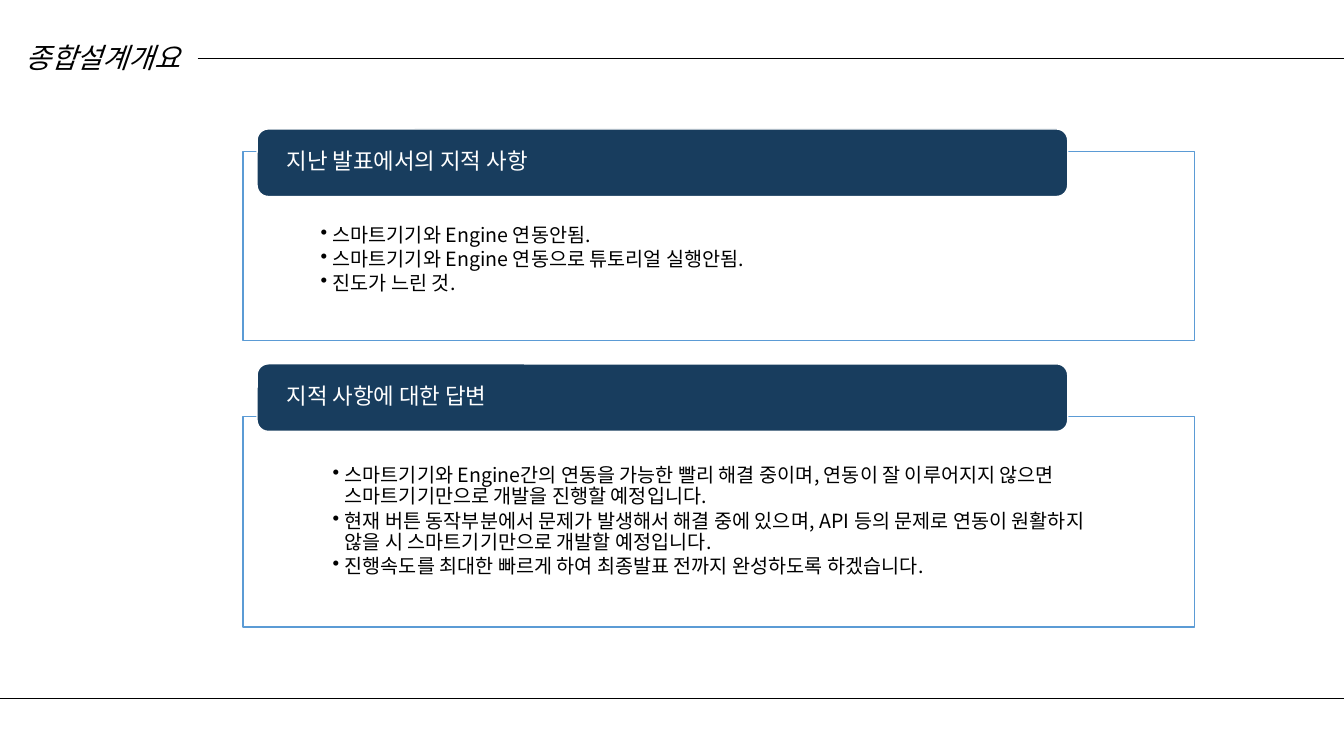
from lxml.etree import SubElement
from pptx import Presentation
from pptx.dml.color import RGBColor
from pptx.enum.shapes import MSO_CONNECTOR, MSO_SHAPE
from pptx.enum.text import MSO_ANCHOR, MSO_AUTO_SIZE, PP_ALIGN
from pptx.oxml.ns import qn
from pptx.util import Inches, Pt

# Content
TITLE = "종합설계개요"
SECTIONS = [
    {
        "heading": "지난 발표에서의 지적 사항",
        "points": [
            "스마트기기와 Engine 연동안됨.",
            "스마트기기와 Engine 연동으로 튜토리얼 실행안됨.",
            "진도가 느린 것.",
        ],
        "tab_top": 1.28, "top": 1.5, "height": 1.88,
        "bottom_inset": 0.11, "indent": 0.12,
    },
    {
        "heading": "지적 사항에 대한 답변",
        "points": [
            "스마트기기와 Engine간의 연동을 가능한 빨리 해결 중이며, 연동이 잘 "
            "이루어지지 않으면 스마트기기만으로 개발을 진행할 예정입니다.",
            "현재 버튼 동작부분에서 문제가 발생해서 해결 중에 있으며, API 등의 문제로 "
            "연동이 원활하지 않을 시 스마트기기만으로 개발할 예정입니다.",
            "진행속도를 최대한 빠르게 하여 최종발표 전까지 완성하도록 하겠습니다.",
        ],
        "tab_top": 3.61, "top": 4.13, "height": 2.09,
        "bottom_inset": 0.39, "indent": 0.24,
    },
]

# Format
COLORS = {"ink": "000000", "paper": "FFFFFF", "navy": "183D5E", "frame": "5B9BD5"}
FONT = "Noto Sans CJK KR"
WIDTH, HEIGHT = 13.33, 7.5
RULES = [(1.96, 0.58), (0, 6.93)]
FRAME_LEFT, FRAME_WIDTH = 2.41, 9.44
TAB_LEFT, TAB_WIDTH, TAB_HEIGHT = 2.55, 8.04, 0.67
BULLET_HANG = 0.12
TITLE_STYLE = {"size": Pt(20), "italic": True}
HEADING_STYLE = {"size": Pt(16)}
POINT_STYLE = {"size": Pt(14)}


def color(name):
    return RGBColor.from_string(COLORS[name])


def apply(target, values):
    for name, value in values.items():
        setattr(target, name, value)


def add_panel(page, kind, box, fill, line):
    panel = page.shapes.add_shape(kind, *map(Inches, box))
    panel.shadow.inherit = False
    panel.fill.solid()
    panel.fill.fore_color.rgb = color(fill)
    panel.line.color.rgb = color(line)
    panel.line.width = Pt(1)
    return panel


def set_frame(shape, insets, anchor):
    sides = ("margin_left", "margin_top", "margin_right", "margin_bottom")
    apply(shape.text_frame, dict(zip(sides, map(Inches, insets))))
    apply(shape.text_frame, {"word_wrap": True, "vertical_anchor": anchor})


def write(shape, lines, style, ink, layout):
    frame = shape.text_frame
    for index, line in enumerate(lines):
        para = frame.paragraphs[0] if index == 0 else frame.add_paragraph()
        apply(para, layout)
        span = para.add_run()
        span.text = line
        apply(span.font, {"name": FONT, **style})
        span.font.color.rgb = color(ink)
        SubElement(span.font._element, qn("a:ea"), typeface=FONT)


def add_bullets(shape, indent):
    for para in shape.text_frame.paragraphs:
        props = para._p.get_or_add_pPr()
        props.set("marL", str(Inches(indent)))
        props.set("indent", str(-Inches(BULLET_HANG)))
        SubElement(props, qn("a:buChar"), char="•")


def add_section(page, section):
    # Outlined body with bullet points
    body = add_panel(page, MSO_SHAPE.RECTANGLE,
                     (FRAME_LEFT, section["top"], FRAME_WIDTH, section["height"]),
                     "paper", "frame")
    tint = body._element.spPr.find(qn("a:solidFill"))[0]
    SubElement(tint, qn("a:alpha"), val="90000")
    set_frame(body, (0.77, 0.39, 0.77, section["bottom_inset"]), MSO_ANCHOR.MIDDLE)
    write(body, section["points"], POINT_STYLE, "ink",
          {"alignment": PP_ALIGN.LEFT, "level": 1, "line_spacing": 0.9,
           "space_after": Pt(2.1)})
    add_bullets(body, section["indent"])

    # Heading tab over the top edge
    tab = add_panel(page, MSO_SHAPE.ROUNDED_RECTANGLE,
                    (TAB_LEFT, section["tab_top"], TAB_WIDTH, TAB_HEIGHT),
                    "navy", "paper")
    set_frame(tab, (0.26, 0, 0.26, 0), MSO_ANCHOR.MIDDLE)
    write(tab, [section["heading"]], HEADING_STYLE, "paper",
          {"alignment": PP_ALIGN.LEFT, "line_spacing": 0.9, "space_after": Pt(5.6)})


def main():
    deck = Presentation()
    apply(deck, {"slide_width": Inches(WIDTH), "slide_height": Inches(HEIGHT)})
    page = deck.slides.add_slide(deck.slide_layouts[6])

    # Rules running to the right edge
    for left, top in RULES:
        rule = page.shapes.add_connector(
            MSO_CONNECTOR.STRAIGHT, *map(Inches, (left, top, WIDTH, top)))
        rule.line.color.rgb = color("ink")
        rule.line.width = Pt(0.5)
        SubElement(rule._element.spPr, qn("a:effectLst"))

    # Title
    title = page.shapes.add_textbox(*map(Inches, (0, 0.35, 2.04, 0.44)))
    set_frame(title, (0.1, 0.05, 0.1, 0.05), MSO_ANCHOR.TOP)
    title.text_frame.auto_size = MSO_AUTO_SIZE.SHAPE_TO_FIT_TEXT
    write(title, [TITLE], TITLE_STYLE, "ink", {"alignment": PP_ALIGN.CENTER})

    for section in SECTIONS:
        add_section(page, section)
    deck.save("out.pptx")


if __name__ == "__main__":
    main()
